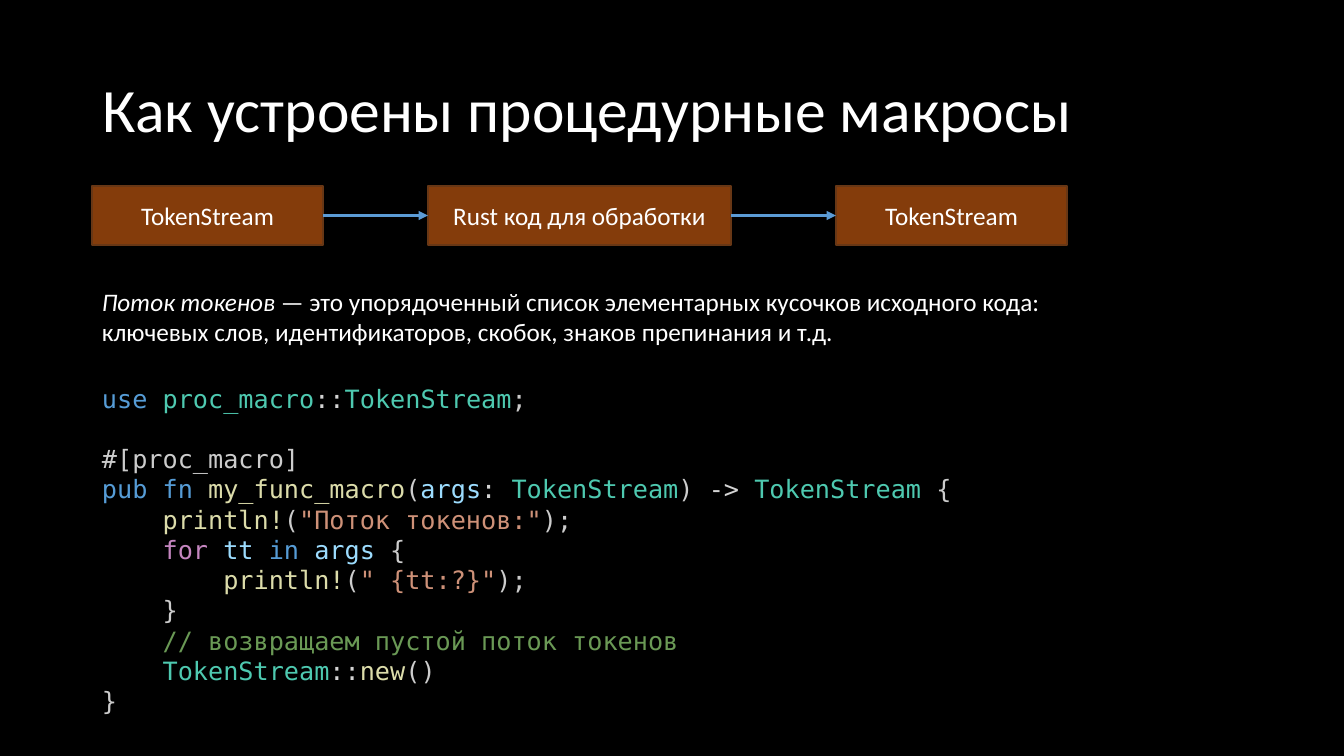
import pptx
import pptx.util
import pptx.dml.color
import pptx.enum.shapes
import pptx.enum.text
import pptx.oxml
import pptx.oxml.ns

# Content
HEADING = "Как устроены процедурные макросы"
STAGES = [("TokenStream", 231), ("Rust код для обработки", 303), ("TokenStream", 231)]
TERM = "Поток токенов"
DEFINITION = [
    " — это упорядоченный список элементарных кусочков исходного кода:",
    "ключевых слов, идентификаторов, скобок, знаков препинания и т.д.",
]
SYNTAX = {
    "keyword": "569CD6", "type": "4EC9B0", "operator": "D4D4D4", "plain": "CCCCCC",
    "function": "DCDCAA", "variable": "9CDCFE", "string": "CE9178",
    "control": "C586C0", "comment": "6A9955",
}
IMPORT_CODE = [
    [("keyword", "use "), ("type", "proc_macro"), ("operator", "::"),
     ("type", "TokenStream"), ("plain", ";")],
]
MACRO_CODE = [
    [("plain", "#[proc_macro]")],
    [("keyword", "pub fn "), ("function", "my_func_macro"), ("plain", "("),
     ("variable", "args"), ("operator", ": "), ("type", "TokenStream"), ("plain", ") "),
     ("operator", "-> "), ("type", "TokenStream"), ("plain", " {")],
    [("plain", "    "), ("function", "println!"), ("plain", "("),
     ("string", '"Поток токенов:"'), ("plain", ");")],
    [("plain", "    "), ("control", "for "), ("variable", "tt "), ("keyword", "in "),
     ("variable", "args"), ("plain", " {")],
    [("plain", "        "), ("function", "println!"), ("plain", "("),
     ("string", '" {tt:?}"'), ("plain", ");")],
    [("plain", "    }")],
    [("plain", "    "), ("comment", "// возвращаем пустой поток токенов")],
    [("plain", "    "), ("type", "TokenStream"), ("operator", "::"),
     ("function", "new"), ("plain", "()")],
    [("plain", "}")],
]

# Layout and style
LEFT = 92
STAGE_TOP, STAGE_HEIGHT, STAGE_GAP = 186, 59, 105
BODY_FONT, CODE_FONT = "Calibri", "DejaVu Sans Mono"
CODE_LINE = pptx.util.Pt(21.6)
WHITE = "FFFFFF"


def px(length):
    return pptx.util.Emu(round(length * 914400 / 100.8))


def colour(value):
    return pptx.dml.color.RGBColor.from_string(value)


def style(font, size, value, name=BODY_FONT):
    font.size = pptx.util.Pt(size)
    font.name = name
    font.color.rgb = colour(value)


def add_text_frame(left, top, width, height):
    frame = slide.shapes.add_textbox(px(left), px(top), px(width), px(height)).text_frame
    frame.word_wrap = True
    return frame


def add_run(paragraph, text, value, name=BODY_FONT):
    run = paragraph.add_run()
    run.text = text
    style(run.font, 18, value, name)
    return run


deck = pptx.Presentation()
deck.slide_width, deck.slide_height = px(1344), px(756)
slide = deck.slides.add_slide(deck.slide_layouts.get_by_name("Title Only"))
slide.background.fill.solid()
slide.background.fill.fore_color.rgb = colour("000000")

# Title
title = slide.shapes.title
title.left, title.top, title.width, title.height = px(LEFT), px(40), px(1159), px(146)
title.text_frame.text = HEADING
title.text_frame.vertical_anchor = pptx.enum.text.MSO_ANCHOR.MIDDLE
title.text_frame.auto_size = pptx.enum.text.MSO_AUTO_SIZE.NONE
heading = title.text_frame.paragraphs[0]
heading.alignment = pptx.enum.text.PP_ALIGN.LEFT
heading.line_spacing = 0.9
style(heading.runs[0].font, 44, WHITE)

# Processing stages
stages = []
stage_left = LEFT
for label, width in STAGES:
    stage = slide.shapes.add_shape(
        pptx.enum.shapes.MSO_SHAPE.RECTANGLE,
        px(stage_left), px(STAGE_TOP), px(width), px(STAGE_HEIGHT))
    stage.shadow.inherit = False
    stage.fill.solid()
    stage.fill.fore_color.rgb = colour("843C0B")
    stage.line.color.rgb = colour("683715")
    stage.line.width = pptx.util.Pt(1.5)
    stage.text_frame.text = label
    stage.text_frame.vertical_anchor = pptx.enum.text.MSO_ANCHOR.MIDDLE
    stage.text_frame.paragraphs[0].alignment = pptx.enum.text.PP_ALIGN.CENTER
    style(stage.text_frame.paragraphs[0].runs[0].font, 18, WHITE)
    stages.append(stage)
    stage_left += width + STAGE_GAP

# Arrows from the right side of each stage to the left side of the next
for source, target in zip(stages, stages[1:]):
    arrow = slide.shapes.add_connector(pptx.enum.shapes.MSO_CONNECTOR.STRAIGHT, 0, 0, 0, 0)
    arrow.begin_connect(source, 3)
    arrow.end_connect(target, 1)
    arrow.line.color.rgb = colour("5B9BD5")
    arrow.line.width = pptx.util.Pt(2.25)
    head = pptx.oxml.parse_xml(
        f'<a:tailEnd {pptx.oxml.ns.nsdecls("a")} type="triangle"/>')
    arrow.line._get_or_add_ln().append(head)
    arrow._element.spPr.append(
        pptx.oxml.parse_xml(f'<a:effectLst {pptx.oxml.ns.nsdecls("a")}/>'))

# Definition
definition = add_text_frame(LEFT, 281, 1145, 72).paragraphs[0]
add_run(definition, TERM, WHITE).font.italic = True
add_run(definition, DEFINITION[0], WHITE)
definition.add_line_break()
add_run(definition, DEFINITION[1], WHITE)

# Code listing, with a one-line gap after the import
listing = add_text_frame(LEFT, 378, 1101, 372)
for number, tokens in enumerate(IMPORT_CODE + MACRO_CODE):
    code_line = listing.add_paragraph() if number else listing.paragraphs[0]
    code_line.line_spacing = CODE_LINE
    if number == len(IMPORT_CODE):
        code_line.space_before = CODE_LINE
    for kind, text in tokens:
        add_run(code_line, text, SYNTAX[kind], CODE_FONT)

deck.save("out.pptx")
